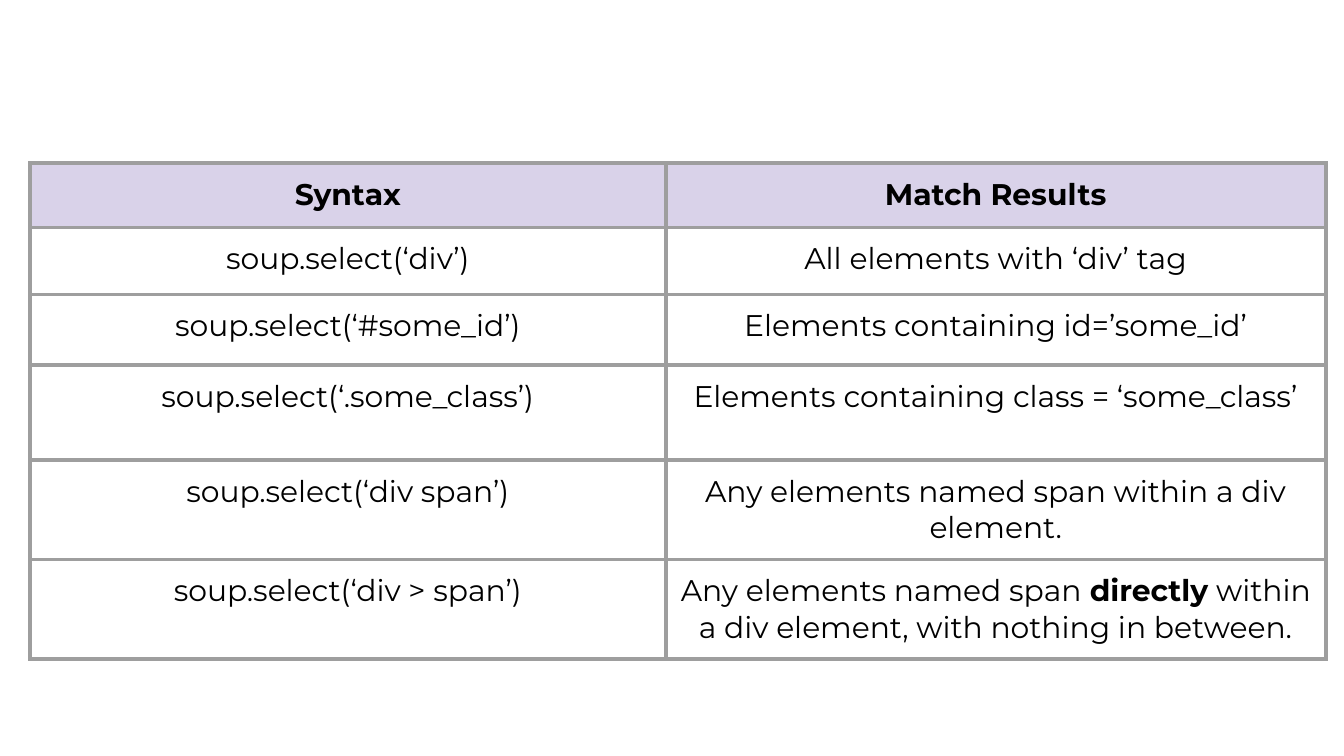
import pptx
import pptx.util
import pptx.dml.color
import pptx.enum.text
import pptx.oxml

BLACK = pptx.dml.color.RGBColor(0x00, 0x00, 0x00)
LAVENDER = pptx.dml.color.RGBColor(0xD9, 0xD2, 0xE9)
GRAY = pptx.dml.color.RGBColor(0x9E, 0x9E, 0x9E)

COLUMN_PERCENTS = [47.3, 49.1]
ROW_PERCENTS = [8.53, 8.89, 9.3, 12.6, 11.2, 11.2]
ROWS = [
    [[("Syntax", True)], [("Match Results", True)]],
    [[("soup.select(‘div’)", False)], [("All elements with ‘div’ tag", False)]],
    [[("soup.select(‘#some_id’)", False)], [("Elements containing id=’some_id’", False)]],
    [[("soup.select(‘.some_class’)", False)], [("Elements containing class = ‘some_class’", False)]],
    [[("soup.select(‘div span’)", False)], [("Any elements named span within a div element.", False)]],
    [
        [("soup.select(‘div > span’)", False)],
        [
            ("Any elements named span ", False),
            ("directly", True),
            (" within a div element, with nothing in between.", False),
        ],
    ],
]


def add_borders(cell, color, width):
    properties = cell._tc.get_or_add_tcPr()
    for position, side in enumerate(["lnL", "lnR", "lnT", "lnB"]):
        border = pptx.oxml.parse_xml(
            f'<a:{side} xmlns:a="http://schemas.openxmlformats.org/drawingml/2006/main" w="{width}">'
            f'<a:solidFill><a:srgbClr val="{color}"/></a:solidFill><a:prstDash val="solid"/></a:{side}>'
        )
        properties.insert(position, border)


presentation = pptx.Presentation()
presentation.slide_width = pptx.util.Inches(10)
presentation.slide_height = presentation.slide_width * 9 // 16
width_percent = presentation.slide_width / 100
height_percent = presentation.slide_height / 100
margin = int(width_percent)
slide = presentation.slides.add_slide(presentation.slide_layouts[6])

table = slide.shapes.add_table(
    len(ROWS),
    len(COLUMN_PERCENTS),
    int(width_percent * 2.24),
    int(height_percent * 21.55),
    int(width_percent * sum(COLUMN_PERCENTS)),
    int(height_percent * sum(ROW_PERCENTS)),
).table
table.first_row = False
table.horz_banding = False

for column, percent in zip(table.columns, COLUMN_PERCENTS):
    column.width = int(width_percent * percent)

for row_index, (row, percent, contents) in enumerate(zip(table.rows, ROW_PERCENTS, ROWS)):
    row.height = int(height_percent * percent)
    for cell, runs in zip(row.cells, contents):
        cell.margin_left = cell.margin_right = margin
        cell.margin_top = cell.margin_bottom = margin
        if row_index == 0:
            cell.fill.solid()
            cell.fill.fore_color.rgb = LAVENDER
        else:
            cell.fill.background()
        add_borders(cell, GRAY, pptx.util.Pt(2.25))
        paragraph = cell.text_frame.paragraphs[0]
        paragraph.alignment = pptx.enum.text.PP_ALIGN.CENTER
        for text, bold in runs:
            run = paragraph.add_run()
            run.text = text
            run.font.name = "Montserrat"
            run.font.size = pptx.util.Pt(16)
            run.font.bold = bold
            run.font.color.rgb = BLACK

presentation.save("out.pptx")
